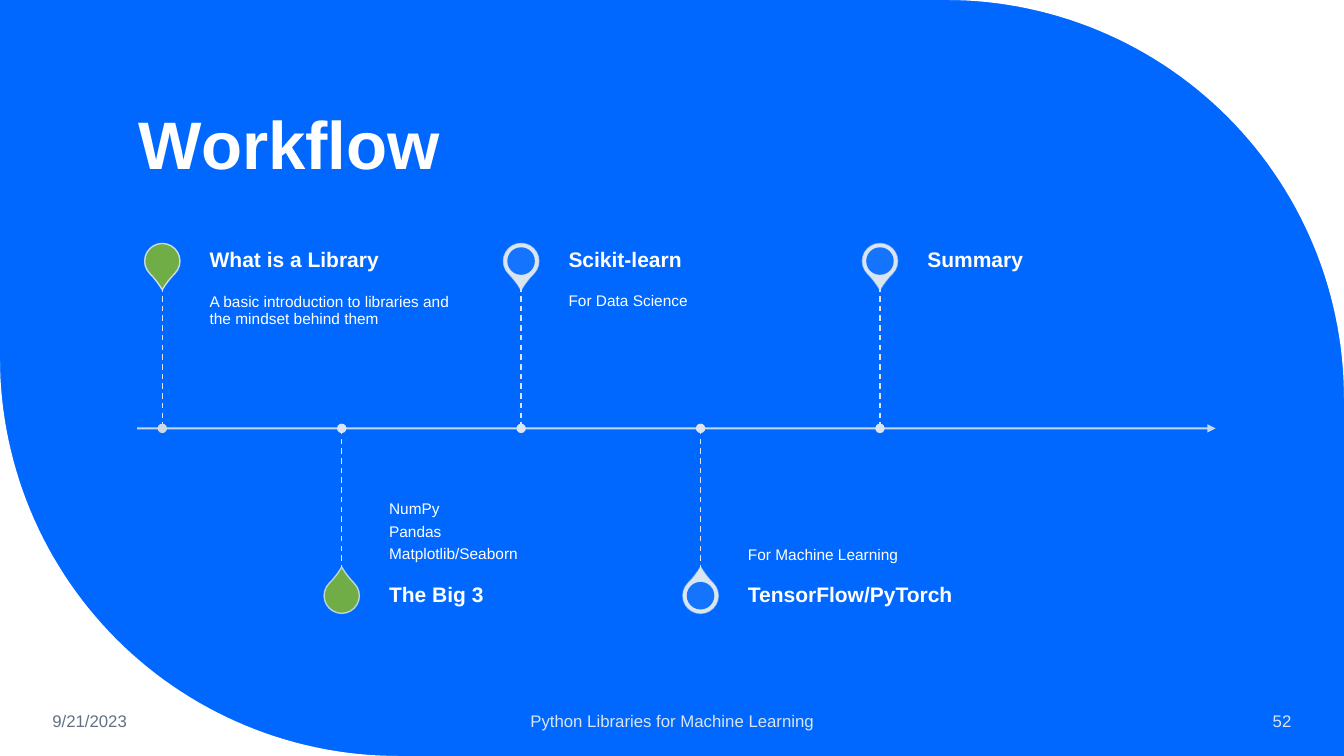
"""Build the Workflow timeline slide."""
from math import cos, pi, sin

from lxml.etree import SubElement
from pptx import Presentation
from pptx.dml.color import RGBColor
from pptx.enum.dml import MSO_LINE
from pptx.enum.shapes import MSO_CONNECTOR, MSO_SHAPE
from pptx.enum.text import MSO_ANCHOR, PP_ALIGN
from pptx.oxml.ns import qn
from pptx.util import Inches, Pt

BLUE = RGBColor(0x00, 0x68, 0xFF)
WHITE = RGBColor(0xFF, 0xFF, 0xFF)
PALE = RGBColor(0xDA, 0xE5, 0xEF)
PALE_DARK = RGBColor(0xCE, 0xDA, 0xE3)
GREEN = RGBColor(0x70, 0xAD, 0x47)
GREY = RGBColor(0x63, 0x71, 0x83)

prs = Presentation()
prs.slide_width = Inches(13.33)
prs.slide_height = Inches(7.5)
COL = prs.slide_width / 40
ROW = prs.slide_height / 30
AXIS, STEM, PIN = 17, 5.64, 6.64
FIRST, STEP = 4.83, 5.34

s = prs.slides.add_slide(prs.slide_layouts[6])
s.background.fill.solid()
s.background.fill.fore_color.rgb = BLUE


def add_text(box, lines, size, color, bold=False, anchor=MSO_ANCHOR.MIDDLE,
             align=PP_ALIGN.LEFT, insets=(0.1, 0.05, 0.1, 0.05), spacing=0.9):
    """Add a text box placed in columns and rows, one paragraph a line."""
    x, y, w, h = box
    tf = s.shapes.add_textbox(int(x * COL), int(y * ROW), int(w * COL), int(h * ROW)).text_frame
    tf.word_wrap = True
    tf.vertical_anchor = anchor
    tf.margin_left, tf.margin_top, tf.margin_right, tf.margin_bottom = map(Inches, insets)
    for i, line in enumerate(lines):
        p = tf.add_paragraph() if i else tf.paragraphs[0]
        p.alignment = align
        p.line_spacing = spacing
        p.space_before = Pt(3.9 if i else 0)
        r = p.add_run()
        r.text = line
        r.font.name, r.font.size, r.font.bold = "Arial", Pt(size), bold
        r.font.color.rgb = color


def add_mark(kind, x, y, size, fill, alpha=100):
    """Add a filled shape centred on a column and row."""
    d = int(size * COL)
    sp = s.shapes.add_shape(kind, int(x * COL - d / 2), int(y * ROW - d / 2), d, d)
    sp.shadow.inherit = False
    sp.fill.solid()
    sp.fill.fore_color.rgb = fill
    sp.line.fill.background()
    if alpha < 100:
        color = sp._element.spPr.find(qn("a:solidFill"))[0]
        SubElement(color, qn("a:alpha"), val=str(alpha * 1000))
    return sp


RADIUS = 11.85 * COL
W, H = prs.slide_width, prs.slide_height
for corner_x, corner_y, cx, cy, start in [(W, 0, W - RADIUS, RADIUS, -pi / 2),
                                          (0, H, RADIUS, H - RADIUS, pi / 2)]:
    angles = [start + pi / 2 * i / 60 for i in range(61)]
    fb = s.shapes.build_freeform(int(corner_x), int(corner_y))
    fb.add_line_segments([(int(cx + RADIUS * cos(a)), int(cy + RADIUS * sin(a))) for a in angles])
    sp = fb.convert_to_shape()
    sp.shadow.inherit = False
    sp.fill.solid()
    sp.fill.fore_color.rgb = WHITE
    sp.line.fill.background()

add_text((3.84, 1.68, 32.07, 5.8), ["Workflow"], 48, WHITE, True, MSO_ANCHOR.BOTTOM)

steps = [
    ("What is a Library", ["A basic introduction to libraries and the mindset behind them"], GREEN),
    ("The Big 3", ["NumPy", "Pandas", "Matplotlib/Seaborn"], GREEN),
    ("Scikit-learn", ["For Data Science"], BLUE),
    ("TensorFlow/PyTorch", ["For Machine Learning"], BLUE),
    ("Summary", [], BLUE),
]

lines = [(4.08, AXIS, 36.18, AXIS)]
for i in range(len(steps)):
    x = FIRST + i * STEP
    lines.append((x, AXIS + STEM, x, AXIS) if i % 2 else (x, AXIS - STEM, x, AXIS))
for i, (x1, y1, x2, y2) in enumerate(lines):
    c = s.shapes.add_connector(MSO_CONNECTOR.STRAIGHT, int(x1 * COL), int(y1 * ROW),
                               int(x2 * COL), int(y2 * ROW))
    c.line.color.rgb = PALE
    c.line.width = Pt(1 if i else 1.5)
    if i:
        c.line.dash_style = MSO_LINE.DASH
    else:
        ln = c.line._get_or_add_ln()
        SubElement(ln.find(qn("a:solidFill"))[0], qn("a:alpha"), val="90000")
        SubElement(ln, qn("a:tailEnd"), type="triangle")
    SubElement(c._element.spPr, qn("a:effectLst"))

for i, (heading, details, color) in enumerate(steps):
    x = FIRST + i * STEP
    below = i % 2 == 1
    pin_y = AXIS + PIN if below else AXIS - PIN
    drop = add_mark(MSO_SHAPE.TEAR, x, pin_y, 1.05, GREEN if color == GREEN else PALE)
    drop.adjustments[0] = 1.15
    drop.rotation = 315 if below else 135
    drop.line.color.rgb = PALE
    drop.line.width = Pt(1)
    SubElement(drop.line._get_or_add_ln().find(qn("a:solidFill"))[0], qn("a:alpha"),
               val=str(90000 - 10000 * i))
    add_mark(MSO_SHAPE.OVAL, x, pin_y, 0.82, color, 90)
    add_mark(MSO_SHAPE.OVAL, x, AXIS, 0.28, PALE if i else PALE_DARK)
    left = x + 1.41
    if details:
        add_text((left, AXIS if below else AXIS - STEM, 7.6, STEM), details, 11, WHITE,
                 anchor=MSO_ANCHOR.BOTTOM if below else MSO_ANCHOR.TOP,
                 insets=(0, 0.11, 0, 0.08) if below else (0, 0.08, 0.08, 0.11))
    add_text((left, pin_y - 1, 7.6, 2), [heading], 15, WHITE, True, insets=(0, 0, 0.1, 0))

for x, w, text, color, align in [
    (1.26, 5.58, "9/21/2023", GREY, PP_ALIGN.LEFT),
    (13.26, 13.5, "Python Libraries for Machine Learning", PALE, PP_ALIGN.CENTER),
    (33.3, 5.43, "52", PALE, PP_ALIGN.RIGHT),
]:
    add_text((x, 27.8, w, 1.6), [text], 12, color, align=align, spacing=1.0)

prs.save("out.pptx")
